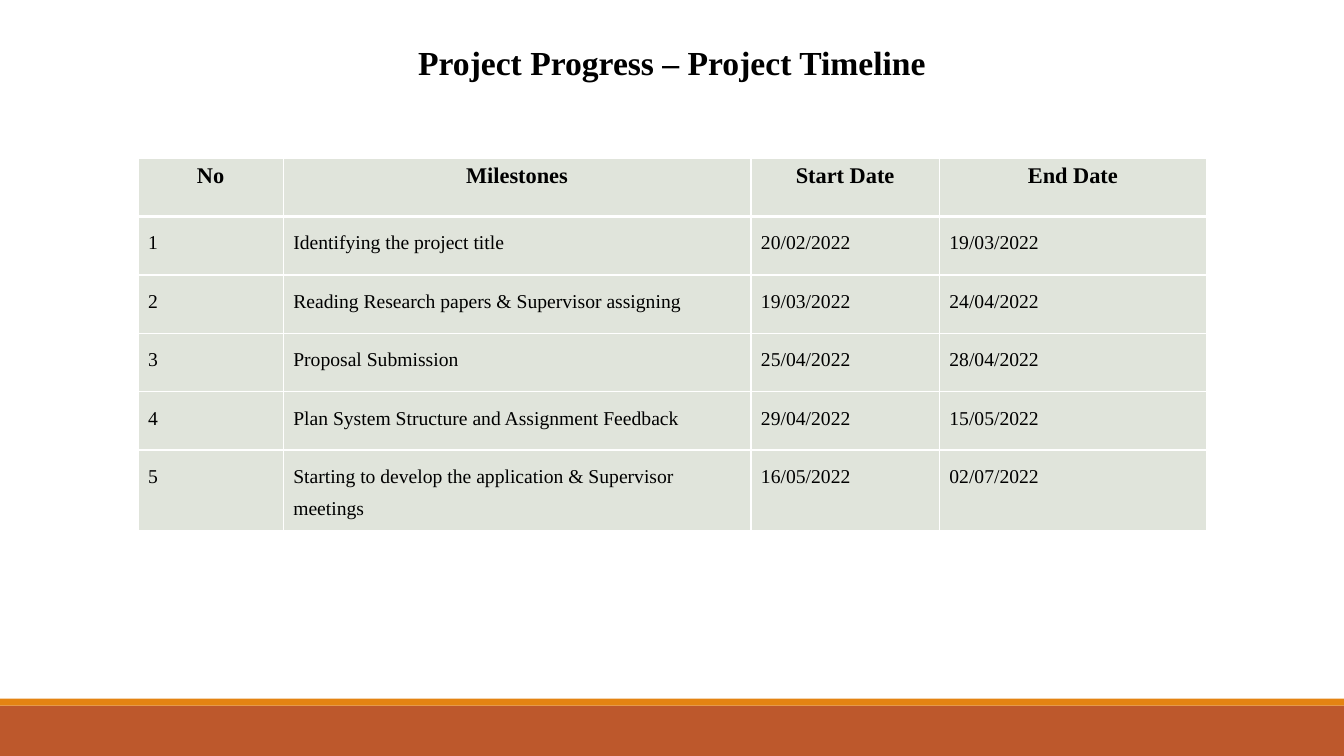
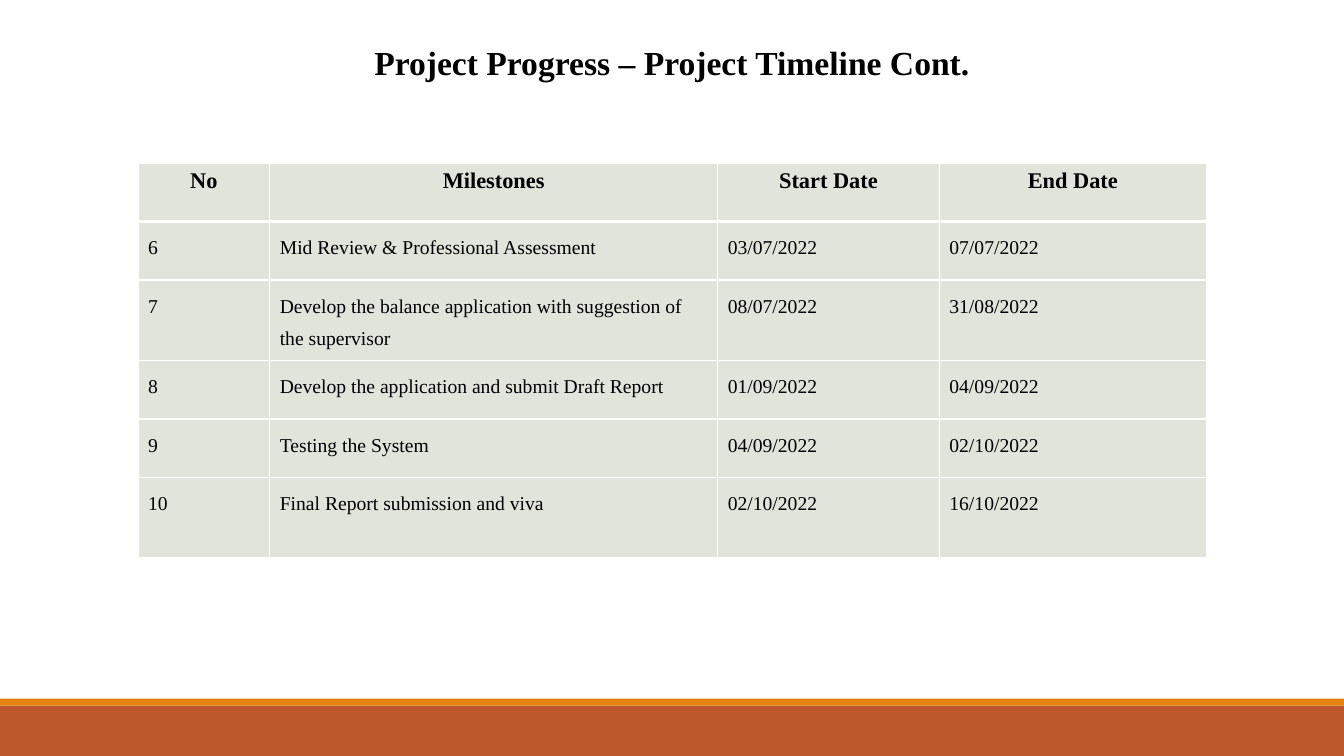
from dataclasses import dataclass

from lxml.etree import SubElement
from pptx import Presentation
from pptx.dml.color import RGBColor
from pptx.enum.shapes import MSO_SHAPE
from pptx.enum.text import MSO_ANCHOR, MSO_AUTO_SIZE, PP_ALIGN
from pptx.oxml.ns import qn
from pptx.util import Pt

# Content
HEADINGS = ("No", "Milestones", "Start Date", "End Date")
TIMELINES = [
    {
        "title": "Project Progress – Project Timeline",
        "top": 113,
        "columns": (103.7, 334.1, 134.6, 190.8),
        "tall_rows": {5},
        "milestones": [
            ("1", "Identifying the project title", "20/02/2022", "19/03/2022"),
            ("2", "Reading Research papers & Supervisor assigning", "19/03/2022", "24/04/2022"),
            ("3", "Proposal Submission", "25/04/2022", "28/04/2022"),
            ("4", "Plan System Structure and Assignment Feedback", "29/04/2022", "15/05/2022"),
            ("5", "Starting to develop the application & Supervisor meetings",
             "16/05/2022", "02/07/2022"),
        ],
    },
    {
        "title": "Project Progress – Project Timeline Cont.",
        "top": 116.6,
        "columns": (94.1, 320, 158.3, 190.8),
        "tall_rows": {2, 5},
        "milestones": [
            ("6", "Mid Review & Professional Assessment", "03/07/2022", "07/07/2022"),
            ("7", "Develop the balance application with suggestion of the supervisor",
             "08/07/2022", "31/08/2022"),
            ("8", "Develop the application and submit Draft Report", "01/09/2022", "04/09/2022"),
            ("9", "Testing the System", "04/09/2022", "02/10/2022"),
            ("10", "Final Report submission and viva", "02/10/2022", "16/10/2022"),
        ],
    },
]


@dataclass(frozen=True)
class Theme:
    font: str = "Times New Roman"
    text: str = "000000"
    cell: str = "E0E4DB"
    border: str = "FFFFFF"
    footer: str = "BD582C"
    accent: str = "E48312"
    title_size: int = 24
    heading_size: int = 16
    body_size: int = 14


THEME = Theme()
WIDTH, HEIGHT = 960, 540
BANDS = ((504, 36, THEME.footer), (499, 5, THEME.accent))  # top, height, colour
TABLE_LEFT = 98.6
ROW_HEIGHT, TALL_ROW_HEIGHT = 41.7, 57.6
THIN, THICK = 1, 3


def style(paragraph, size, bold=False, align=PP_ALIGN.LEFT):
    paragraph.alignment = align
    font = paragraph.font
    font.name, font.size, font.bold = THEME.font, Pt(size), bold
    font.color.rgb = RGBColor.from_string(THEME.text)


def prepare_layout(layout):
    """Place the title once for every slide."""
    title = next(p for p in layout.placeholders if p.placeholder_format.idx == 0)
    title.left, title.top, title.width, title.height = Pt(33), Pt(26), Pt(894), Pt(65.5)
    title.text_frame.vertical_anchor = MSO_ANCHOR.TOP
    title.text_frame.auto_size = MSO_AUTO_SIZE.NONE


def add_bands(slide, master):
    """Draw the footer bands and move them to the master."""
    for top, height, color in BANDS:
        band = slide.shapes.add_shape(MSO_SHAPE.RECTANGLE, 0, Pt(top), Pt(WIDTH), Pt(height))
        band.shadow.inherit = False
        band.fill.solid()
        band.fill.fore_color.rgb = RGBColor.from_string(color)
        band.line.fill.background()
        master.shapes.element.append(band.element)


def set_borders(cell, top, bottom):
    properties = cell._tc.get_or_add_tcPr()
    widths = {"a:lnL": THIN, "a:lnR": THIN, "a:lnT": top, "a:lnB": bottom}
    for tag, width in widths.items():
        line = SubElement(properties, qn(tag), w=str(Pt(width)))
        fill = SubElement(line, qn("a:solidFill"))
        SubElement(fill, qn("a:srgbClr"), val=THEME.border)


def fill_cell(cell, text, row):
    set_borders(cell, THICK if row == 1 else THIN, THICK if row == 0 else THIN)
    cell.fill.solid()
    cell.fill.fore_color.rgb = RGBColor.from_string(THEME.cell)
    cell.text = text
    paragraph = cell.text_frame.paragraphs[0]
    if row == 0:
        style(paragraph, THEME.heading_size, True, PP_ALIGN.CENTER)
    else:
        paragraph.line_spacing = 1.5
        style(paragraph, THEME.body_size)


def add_timeline(slide, timeline):
    rows = [HEADINGS, *timeline["milestones"]]
    columns = timeline["columns"]
    heights = [TALL_ROW_HEIGHT if i in timeline["tall_rows"] else ROW_HEIGHT
               for i in range(len(rows))]
    table = slide.shapes.add_table(
        len(rows), len(columns), Pt(TABLE_LEFT), Pt(timeline["top"]),
        Pt(sum(columns)), Pt(sum(heights))).table
    table.horz_banding = False
    for column, width in zip(table.columns, columns):
        column.width = Pt(width)
    for row, (texts, height) in enumerate(zip(rows, heights)):
        table.rows[row].height = Pt(height)
        for column, text in enumerate(texts):
            fill_cell(table.cell(row, column), text, row)


def main():
    presentation = Presentation()
    presentation.slide_width, presentation.slide_height = Pt(WIDTH), Pt(HEIGHT)
    layout = presentation.slide_layouts.get_by_name("Title Only")
    prepare_layout(layout)
    for number, timeline in enumerate(TIMELINES):
        slide = presentation.slides.add_slide(layout)
        if number == 0:
            add_bands(slide, presentation.slide_master)
        slide.shapes.title.text = timeline["title"]
        style(slide.shapes.title.text_frame.paragraphs[0], THEME.title_size, True,
              PP_ALIGN.CENTER)
        add_timeline(slide, timeline)
    presentation.save("out.pptx")


if __name__ == "__main__":
    main()
